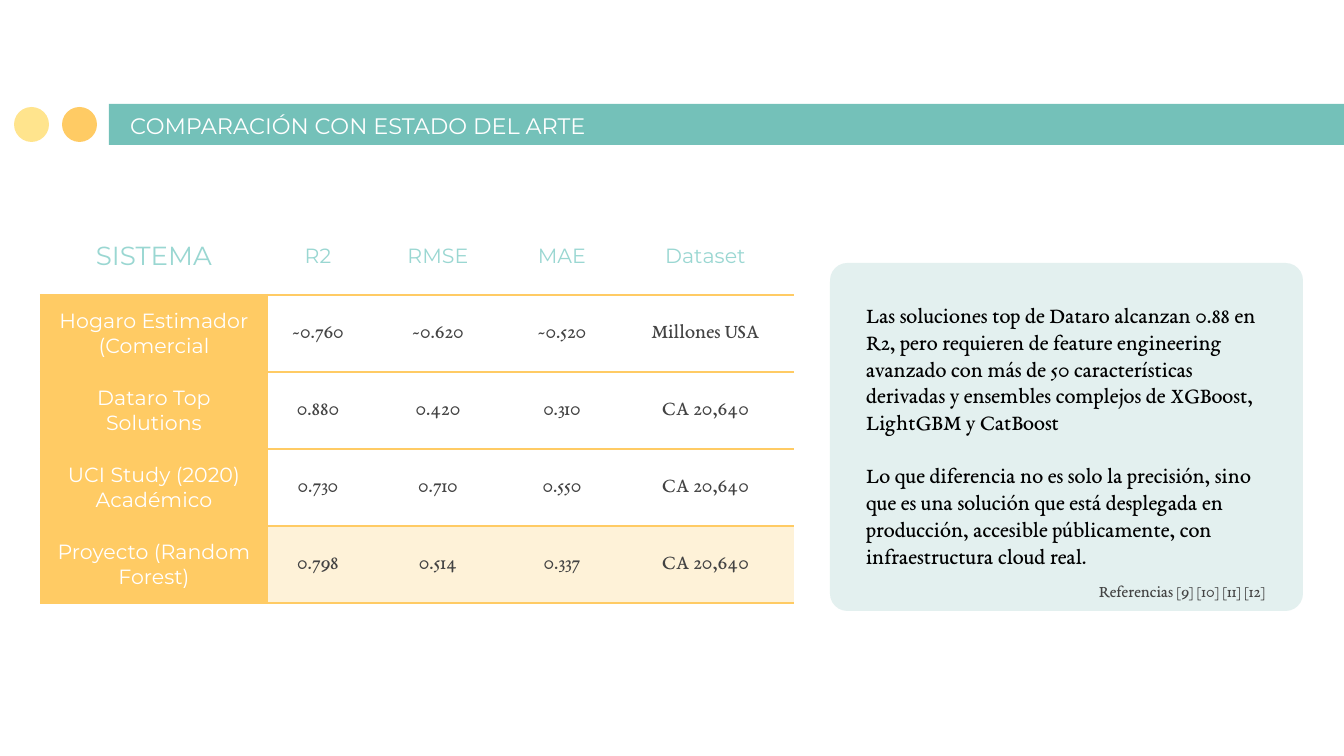
import pptx
import pptx.util
import pptx.dml.color
import pptx.enum.shapes
import pptx.enum.text
import pptx.oxml
import pptx.oxml.ns
import lxml.etree

# Content
TITLE = "COMPARACIÓN CON ESTADO DEL ARTE"
TABLE = [
    ["SISTEMA", "R2", "RMSE", "MAE", "Dataset"],
    ["Hogaro Estimador (Comercial", "~0.760", "~0.620", "~0.520", "Millones USA"],
    ["Dataro Top Solutions", "0.880", "0.420", "0.310", "CA 20,640"],
    ["UCI Study (2020) Académico", "0.730", "0.710", "0.550", "CA 20,640"],
    ["Proyecto (Random Forest)", "0.798", "0.514", "0.337", "CA 20,640"],
]
NOTES = [
    "Las soluciones top de Dataro alcanzan 0.88 en R2, pero requieren de feature "
    "engineering avanzado con más de 50 características derivadas y ensembles "
    "complejos de XGBoost, LightGBM y CatBoost",
    "Lo que diferencia no es solo la precisión, sino que es una solución que está "
    "desplegada en producción, accesible públicamente, con infraestructura cloud real.",
]
REFERENCES = "Referencias [9] [10] [11] [12]"

# Layout in px
WIDTH, HEIGHT = 1344, 756
COLUMNS = [226, 102, 138, 110, 177]
ROWS = [78] + [77] * 4
INSET = 13

THEME = {
    "teal": "74C1B9", "orange": "FFCB64", "yellow": "FFE48D",
    "panel": "47A097", "highlight": "FEF2D8",
    "title": {"name": "Montserrat", "size": 12, "color": "FFFFFF"},
    "corner": {"name": "Montserrat", "size": 14, "color": "9AD7D2"},
    "header": {"name": "Montserrat", "size": 11, "color": "9AD7D2"},
    "system": {"name": "Montserrat", "size": 11, "color": "FFFFFF"},
    "value": {"name": "EB Garamond", "size": 11, "color": "434343"},
    "notes": {"name": "EB Garamond", "size": 12, "color": "000000"},
    "references": {"name": "EB Garamond", "size": 9, "color": "434343"},
}
SHAPE = pptx.enum.shapes.MSO_SHAPE
ANCHOR = pptx.enum.text.MSO_ANCHOR
ALIGN = pptx.enum.text.PP_ALIGN
NONE = pptx.enum.text.MSO_AUTO_SIZE.NONE
Pt = pptx.util.Pt


def px(n):
    return round(n * 9144000 / WIDTH)


def rgb(value):
    return pptx.dml.color.RGBColor.from_string(value)


def set_all(obj, values):
    for name, value in values.items():
        setattr(obj, name, value)


def write(p, text, style, **paragraph_format):
    r = p.add_run()
    r.text = text
    set_all(r.font, {"name": style["name"], "size": Pt(style["size"]), "bold": False})
    r.font.color.rgb = rgb(style["color"])
    set_all(p, paragraph_format)


def margins(x, y):
    return {"margin_left": px(x), "margin_right": px(x),
            "margin_top": px(y), "margin_bottom": px(y)}


def add_shape(slide, kind, box, color):
    sp = slide.shapes.add_shape(kind, *map(px, box))
    sp.shadow.inherit = False
    sp.fill.solid()
    sp.fill.fore_color.rgb = rgb(color)
    sp.line.fill.background()
    return sp


def add_text(slide, box, inset):
    tf = slide.shapes.add_textbox(*map(px, box)).text_frame
    set_all(tf, {"word_wrap": True, **margins(*inset)})
    return tf


def set_borders(cell, visible):
    for side in "LRTB":
        ln = lxml.etree.SubElement(cell._tc.get_or_add_tcPr(),
                                   pptx.oxml.ns.qn(f"a:ln{side}"), w=str(Pt(1.5)))
        if side in visible:
            fill = lxml.etree.SubElement(ln, pptx.oxml.ns.qn("a:solidFill"))
            lxml.etree.SubElement(fill, pptx.oxml.ns.qn("a:srgbClr"), val=THEME["orange"])
        else:
            lxml.etree.SubElement(ln, pptx.oxml.ns.qn("a:noFill"))


def fill_cell(cell, row, col, text):
    if row == 0:
        style, sides, color = "header" if col else "corner", "B", None
    elif col == 0:
        style, sides, color = "system", "LRTB", THEME["orange"]
    else:
        style, sides = "value", "LTB" if col == 1 else "TB"
        color = THEME["highlight"] if row == len(TABLE) - 1 else None
    set_borders(cell, sides)
    if color:
        cell.fill.solid()
        cell.fill.fore_color.rgb = rgb(color)
    else:
        cell.fill.background()
    set_all(cell, {"vertical_anchor": ANCHOR.MIDDLE, **margins(INSET, INSET)})
    write(cell.text_frame.paragraphs[0], text, THEME[style], alignment=ALIGN.CENTER)


def main():
    prs = pptx.Presentation()
    prs.slide_width, prs.slide_height = px(WIDTH), px(HEIGHT)
    slide = prs.slides.add_slide(prs.slide_layouts[5])

    # Title band with two dots
    add_shape(slide, SHAPE.RECTANGLE, (109, 104, WIDTH - 109, 41), THEME["teal"])
    for x, color in [(62, "orange"), (14, "yellow")]:
        add_shape(slide, SHAPE.OVAL, (x, 107, 35, 35), THEME[color])

    # Title, moved in front of the band
    title = slide.shapes.title
    slide.shapes._spTree.append(title._element)
    set_all(title, dict(zip(("left", "top", "width", "height"),
                            map(px, (117, 106, 737, 46)))))
    tf = title.text_frame
    set_all(tf, {"auto_size": NONE, "word_wrap": True,
                 "vertical_anchor": ANCHOR.BOTTOM, **margins(INSET, INSET)})
    write(tf.paragraphs[0], TITLE, THEME["title"], alignment=ALIGN.LEFT)

    # Translucent panel
    panel = add_shape(slide, SHAPE.ROUNDED_RECTANGLE, (830, 263, 473, 348), THEME["panel"])
    panel.adjustments[0] = 0.05
    color = panel.fill._xPr.find(".//" + pptx.oxml.ns.qn("a:srgbClr"))
    lxml.etree.SubElement(color, pptx.oxml.ns.qn("a:alpha"), val="15000")

    # Comparison table
    table = slide.shapes.add_table(len(ROWS), len(COLUMNS), px(41), px(217),
                                   px(sum(COLUMNS)), px(sum(ROWS))).table
    set_all(table, {"first_row": False, "horz_banding": False})
    for column, width in zip(table.columns, COLUMNS):
        column.width = px(width)
    for row, height in zip(table.rows, ROWS):
        row.height = px(height)
    for i, texts in enumerate(TABLE):
        for j, text in enumerate(texts):
            fill_cell(table.cell(i, j), i, j, text)

    # Notes and references
    tf = add_text(slide, (853, 294, 437, 285), (INSET, 7))
    for i, text in enumerate(NOTES):
        p = tf.add_paragraph() if i else tf.paragraphs[0]
        write(p, text, THEME["notes"], space_before=Pt(14 if i else 0))
    p = add_text(slide, (1060, 571, 289, 35), (INSET, INSET)).paragraphs[0]
    write(p, REFERENCES, THEME["references"], space_after=Pt(1))
    p._p.get_or_add_pPr().set("marL", str(px(26)))

    prs.save("out.pptx")


if __name__ == "__main__":
    main()
